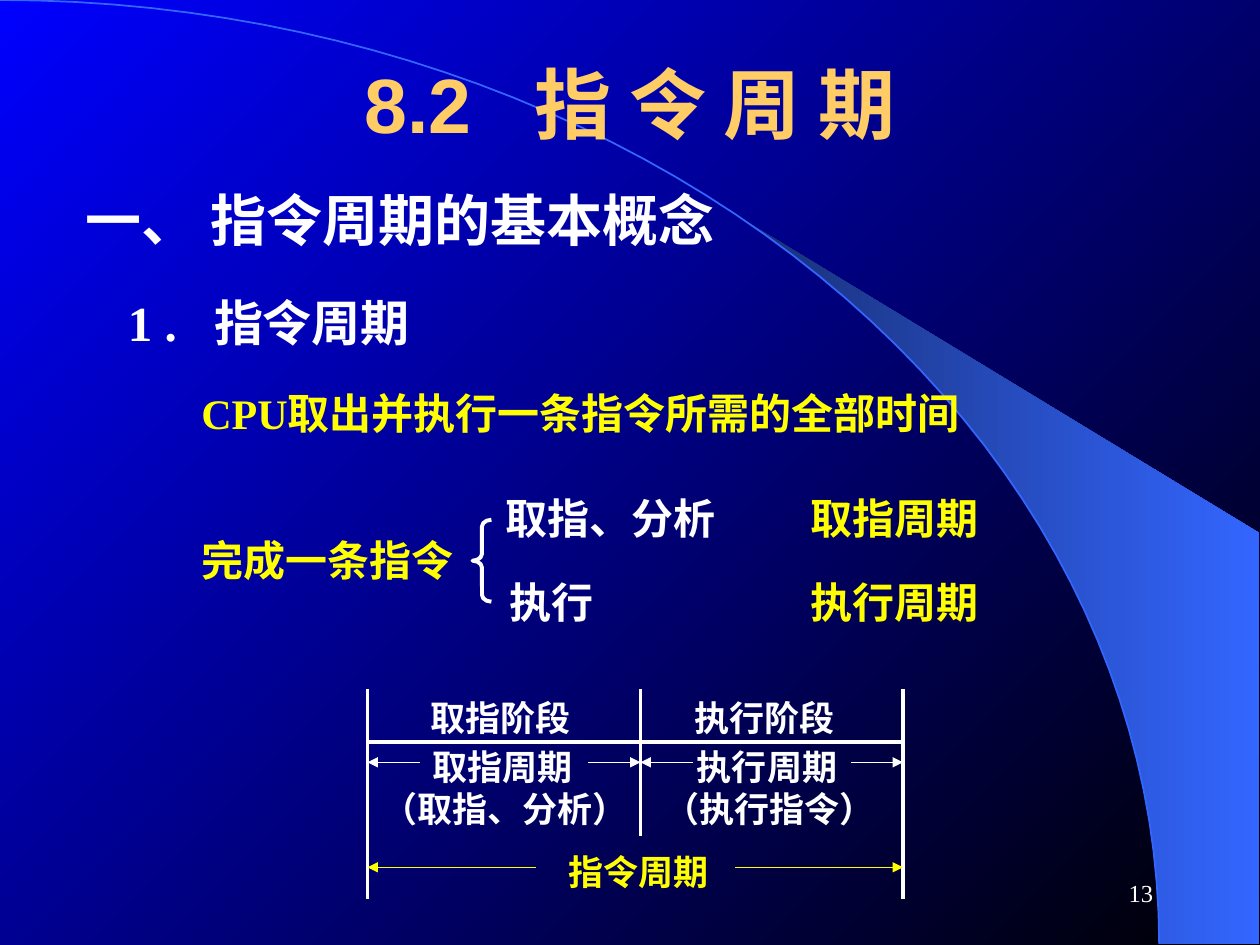
from dataclasses import dataclass
from math import cos, radians, sin
from lxml.etree import SubElement
from pptx import Presentation
from pptx.dml.color import RGBColor
from pptx.enum.shapes import MSO_CONNECTOR, MSO_SHAPE
from pptx.enum.text import MSO_ANCHOR, PP_ALIGN
from pptx.oxml.ns import qn
from pptx.util import Emu, Inches, Pt


@dataclass(frozen=True)
class Theme:
    white: str = "FFFFFF"
    yellow: str = "FFFF00"
    gold: str = "FFCC66"
    blue: str = "0000FF"
    black: str = "000000"
    navy: str = "182F76"
    sky: str = "3366FF"
    serif: str = "Times New Roman"
    sans: str = "Arial"
    title: int = 44
    head: int = 32
    topic: int = 28
    body: int = 24
    label: int = 20
    page: int = 14
    thick: float = 2.25
    thin: float = 0.75


T = Theme()
COLS, ROWS = 120, 90
CELL = Inches(10) / COLS
EDGE = 119.88
FLOOR = 89.88
ARC = 110.4


def grid(*cells):
    return [Emu(round(cell * CELL)) for cell in cells]


def color(code):
    return RGBColor.from_string(code)


def blend(fill, first, last, angle):
    fill.gradient()
    fill.gradient_angle = angle
    for stop, code, place in zip(fill.gradient_stops, (first, last), (0, 1)):
        stop.color.rgb = color(code)
        stop.position = place


def stroke(line, code, width):
    line.color.rgb = color(code)
    line.width = Pt(width)


def text(slide, box, words, size, code=T.white, face=T.serif, bold=True,
         align=PP_ALIGN.LEFT, anchor=MSO_ANCHOR.TOP, wrap=True, tab=None):
    frame = slide.shapes.add_textbox(*grid(*box)).text_frame
    frame.word_wrap = wrap
    frame.vertical_anchor = anchor
    para = frame.paragraphs[0]
    para.text = words
    para.alignment = align
    if tab:
        stops = SubElement(para._p.get_or_add_pPr(), qn("a:tabLst"))
        SubElement(stops, qn("a:tab"), pos=str(grid(tab)[0]), algn="l")
    font = para.font
    font.name, font.size, font.bold = face, Pt(size), bold
    font.color.rgb = color(code)
    return para


def widen(para, points):
    parts = para.text.partition(" ")
    para.runs[0].text = parts[0]
    for part in parts[1:]:
        para.add_run().text = part
    para.runs[1]._r.get_or_add_rPr().set("spc", str(points * 100))


def rule(slide, ends, code=T.white, width=T.thick, arrow=False):
    line = slide.shapes.add_connector(MSO_CONNECTOR.STRAIGHT, *grid(*ends))
    stroke(line.line, code, width)
    if arrow:
        SubElement(line.line._get_or_add_ln(), qn("a:tailEnd"), type="triangle")
    SubElement(line._element.spPr, qn("a:effectLst"))


def curve(first, last, steps=48):
    turns = [radians(first + (last - first) * i / steps) for i in range(steps + 1)]
    return [(ARC * sin(t), FLOOR * (1 - cos(t))) for t in turns]


def outline(slide, points, close):
    spots = [grid(*point) for point in points]
    pen = slide.shapes.build_freeform(*spots[0])
    pen.add_line_segments(spots[1:], close=close)
    shape = pen.convert_to_shape()
    shape.shadow.inherit = False
    return shape


def backdrop(slide):
    blend(slide.background.fill, T.blue, T.black, 315)
    wedge = outline(slide, curve(39.8, 90) + [(EDGE, FLOOR), (EDGE, 50.75)], True)
    blend(wedge.fill, T.navy, T.sky, 0)
    wedge.line.fill.background()
    arc = outline(slide, curve(0, 90), False)
    arc.fill.background()
    stroke(arc.line, T.sky, 1)


def brace(slide, box):
    shape = slide.shapes.add_shape(MSO_SHAPE.LEFT_BRACE, *grid(*box))
    shape.shadow.inherit = False
    shape.fill.background()
    shape.adjustments[0] = 0.36
    stroke(shape.line, T.white, T.thick)


def outer(slide):
    title = text(slide, (9, 2.25, 102, 15), "8.2 指 令 周 期", T.title, T.gold,
                 T.sans, align=PP_ALIGN.CENTER, anchor=MSO_ANCHOR.MIDDLE)
    widen(title, 24)
    text(slide, (7, 17.1, 75, 7.7), "一、 指令周期的基本概念", T.head)
    text(slide, (11, 27.25, 75, 6.8), "1 .\t指令周期", T.topic, tab=8.2)
    text(slide, (18, 36.3, 75, 10.8), "CPU取出并执行一条指令所需的全部时间",
         T.body, T.yellow)
    text(slide, (18, 50.3, 36, 6), "完成一条指令", T.body, T.yellow)
    brace(slide, (45, 49.5, 1.8, 7.8))
    steps = [(46.3, 47, "取指、分析", "取指周期"), (54.3, 47.3, "执行", "执行周期")]
    for top, left, step, cycle in steps:
        text(slide, (left, top, 26, 6), step, T.body)
        text(slide, (76, top, 24, 6), cycle, T.body, T.yellow)
    text(slide, (86, 82, 25, 6), "13", T.page, bold=False,
         align=PP_ALIGN.RIGHT, anchor=MSO_ANCHOR.MIDDLE)


def chart(slide):
    left, mid, right = 35, 61, 86
    top, low = 65.6, 85.6
    rule(slide, (left, 70.65, right, 70.65))
    for col, end in ((left, low), (mid, 79.6), (right, low)):
        rule(slide, (col, top, col, end))
    stages = [
        (left, mid, 39.8, "取指阶段", "取指周期", 35.2, 25.8, "（取指、分析）"),
        (mid, right, 65, "执行阶段", "执行周期", 62.1, 22.4, "（执行指令）"),
    ]
    for start, end, col, stage, cycle, edge, wide, note in stages:
        text(slide, (col, 65.7, 17, 5.3), stage, T.label)
        text(slide, (col + 0.2, 70.45, 17, 5.3), cycle, T.label)
        text(slide, (edge, 74.4, wide, 5.3), note, T.label, wrap=False)
        span(slide, start, end, 5, 72.6, T.white)
    text(slide, (53, 80.4, 17, 5.3), "指令周期", T.label, T.yellow)
    span(slide, left, right, 16, 82.6, T.yellow)


def span(slide, start, end, reach, row, code):
    for tip, base in ((start, start + reach), (end, end - reach)):
        rule(slide, (base, row, tip, row), code, T.thin, True)


def main():
    deck = Presentation()
    deck.slide_width, deck.slide_height = grid(COLS, ROWS)
    slide = deck.slides.add_slide(deck.slide_layouts[6])
    backdrop(slide)
    outer(slide)
    chart(slide)
    deck.save("out.pptx")


if __name__ == "__main__":
    main()
